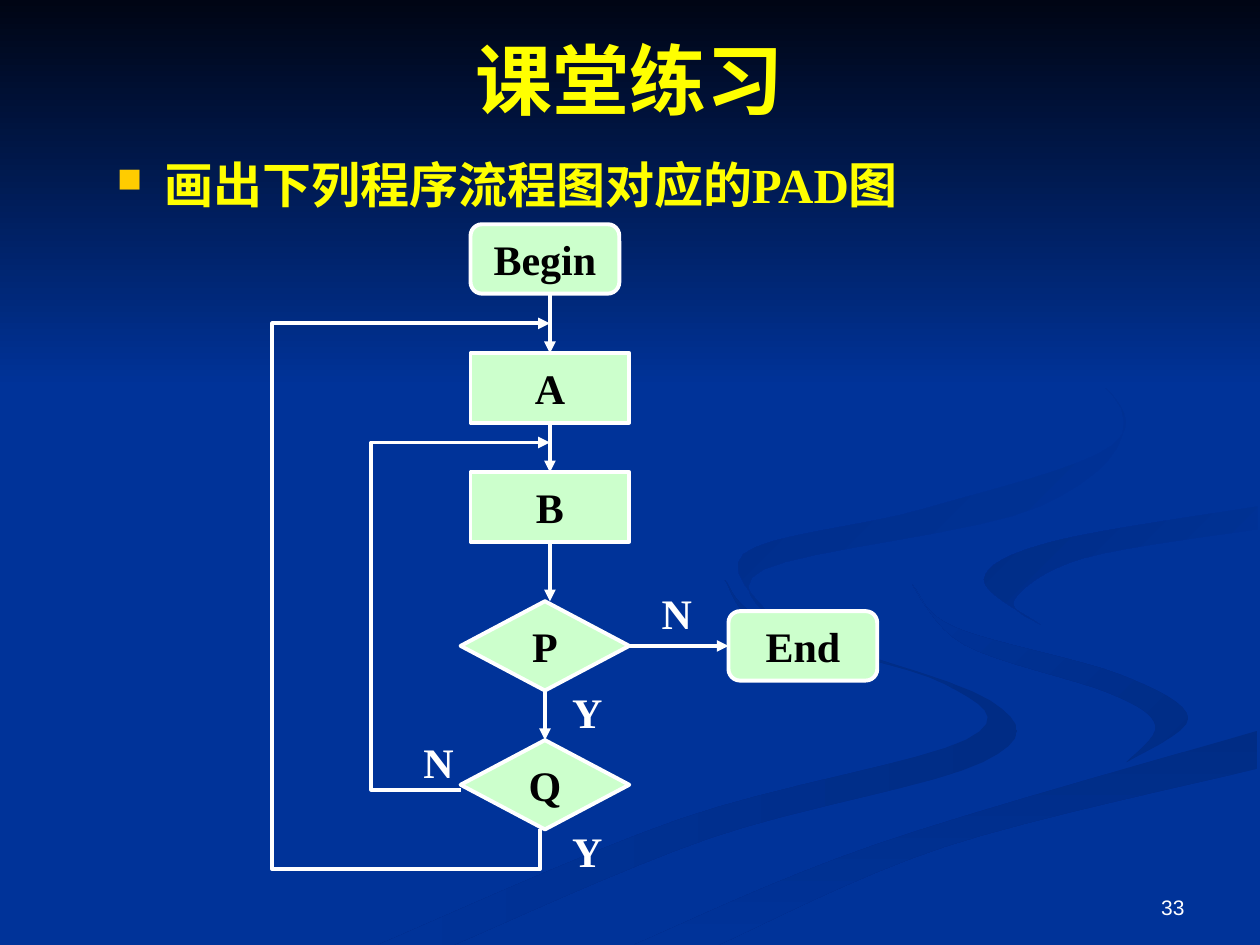
import dataclasses

import lxml.etree
import pptx
import pptx.dml.color
import pptx.enum.shapes
import pptx.enum.text
import pptx.oxml.ns
import pptx.util

SHAPE = pptx.enum.shapes.MSO_SHAPE
ALIGN = pptx.enum.text.PP_ALIGN
ANCHOR = pptx.enum.text.MSO_ANCHOR
TOP, LEFT, BOTTOM, RIGHT = range(4)


@dataclasses.dataclass(frozen=True)
class Theme:
    ground: str = "003399"
    shade: str = "002C85"
    night: str = "000514"
    accent: str = "FFFF00"
    bullet: str = "FFCC00"
    node: str = "CCFFCC"
    ink: str = "000000"
    light: str = "FFFFFF"
    serif: str = "Times New Roman"
    sans: str = "Arial"
    title: int = 44
    body: int = 28
    label: int = 24
    small: int = 12
    stroke: float = 2.25


@dataclasses.dataclass(frozen=True)
class Box:
    """A grid of square cells; left, top and cell are in inches."""
    left: float
    top: float
    cell: float

    def point(self, column, row):
        return (pptx.util.Inches(self.left + column * self.cell),
                pptx.util.Inches(self.top + row * self.cell))

    def place(self, column, row, columns, rows):
        return (*self.point(column, row), pptx.util.Inches(columns * self.cell),
                pptx.util.Inches(rows * self.cell))


THEME = Theme()

# The two edges of each ribbon, the colours of its gradient and its clockwise angle.
RIBBONS = [
    ([(5.75, 4.6), (6.1, 5), (7.5, 5.43), (7.67, 5.87), (5.4, 6.5), (3, 7.5)],
     [(3.6, 7.5), (5.64, 6.65), (7.8, 6.05), (7.86, 5.56), (6.14, 4.96), (5.75, 4.6)],
     THEME.shade, THEME.ground, 180),
    ([(7.24, 4.64), (7.66, 5.12), (8.8, 5.5), (9.17, 5.76), (8.94, 6.05)],
     [(8.94, 6.05), (9.43, 5.7), (8.88, 5.35), (7.58, 4.98), (7.24, 4.64)],
     THEME.shade, THEME.ground, 225),
    ([(5.03, 7.5), (6.96, 6.7), (9.98, 5.8)], [(9.98, 6.1), (7.5, 6.72), (5.7, 7.5)],
     THEME.shade, THEME.ground, 90),
    ([(8.26, 4.96), (7.81, 4.6), (8.35, 4.3), (9.98, 4.02)],
     [(9.98, 4.2), (8.6, 4.43), (8.05, 4.76), (8.26, 4.96)],
     THEME.ground, THEME.shade, 225),
    ([(7.62, 2.33), (8.7, 3), (8.82, 3.54), (7.33, 4.04), (5.9, 4.4), (6.22, 5)],
     [(6.22, 5), (6.06, 4.52), (8.25, 4.02), (8.9, 3.24), (7.62, 2.33)],
     THEME.ground, THEME.shade, 225),
]


def color(value):
    return pptx.dml.color.RGBColor.from_string(value)


def add_xml(parent, tag, **attributes):
    node = lxml.etree.SubElement(parent, pptx.oxml.ns.qn(tag))
    for name, value in attributes.items():
        node.set(name, value)
    return node


def set_all(target, values):
    for name, value in values.items():
        setattr(target, name, value)


def write(shape, text, size, ink, face=THEME.serif, bold=True, align=ALIGN.LEFT,
          anchor=ANCHOR.TOP, wrap=True):
    set_all(shape.text_frame, {"word_wrap": wrap, "vertical_anchor": anchor})
    para = shape.text_frame.paragraphs[0]
    para.alignment = align
    span = para.add_run()
    span.text = text
    set_all(span.font, {"name": face, "size": pptx.util.Pt(size), "bold": bold})
    span.font.color.rgb = color(ink)
    return para


def stroke(shape, arrow=False):
    shape.line.color.rgb = color(THEME.light)
    shape.line.width = pptx.util.Pt(THEME.stroke)
    if arrow:
        line = shape.element.spPr.find(pptx.oxml.ns.qn("a:ln"))
        add_xml(line, "a:tailEnd", type="triangle")


def outline(page, box, points, close):
    start, *rest = [box.point(*point) for point in points]
    builder = page.shapes.build_freeform(*start)
    builder.add_line_segments(rest, close=close)
    return builder.convert_to_shape()


def smooth(points, steps=8):
    """Catmull-Rom curve through the points."""
    padded = [points[0], *points, points[-1]]
    curve = []
    for knots in zip(padded, padded[1:], padded[2:], padded[3:]):
        for step in range(steps):
            t = step / steps
            curve.append(tuple(
                b + t * (c - a + t * (2 * a - 5 * b + 4 * c - d + t * (3 * (b - c) + d - a))) / 2
                for a, b, c, d in zip(*knots)))
    return [*curve, points[-1]]


def shade(shape, first, last, angle):
    shape.shadow.inherit = False
    shape.line.fill.background()
    shape.fill.gradient()
    shape.fill.gradient_angle = 360 - angle
    for position, (stop, value) in enumerate(zip(shape.fill.gradient_stops, (first, last))):
        stop.color.rgb = color(value)
        stop.position = position


def scenery(page, box):
    page.background.fill.solid()
    page.background.fill.fore_color.rgb = color(THEME.ground)
    for outer, inner, *gradient in RIBBONS:
        shade(outline(page, box, smooth(outer) + smooth(inner), close=True), *gradient)
    sky = page.shapes.add_shape(SHAPE.RECTANGLE, *box.place(0, 0, 10, 3.08))
    shade(sky, THEME.night, THEME.ground, 90)


def heading(page, box):
    title = page.shapes.title
    page.shapes.element.append(title.element)  # in front of the scenery
    set_all(title, dict(zip(("left", "top", "width", "height"), box.place(0.75, 0, 8.5, 1.25))))
    write(title, "课堂练习", THEME.title, THEME.accent, align=ALIGN.CENTER, anchor=ANCHOR.MIDDLE)


def task(page, box):
    shape = page.shapes.add_textbox(*box.place(0.83, 1.23, 8.5, 0.56))
    para = write(shape, "画出下列程序流程图对应的PAD图", THEME.body, THEME.accent)
    para.line_spacing = 0.9
    layout = para._p.get_or_add_pPr()
    indent = pptx.util.Inches(0.38)
    layout.set("marL", str(indent))
    layout.set("indent", str(-indent))
    add_xml(add_xml(layout, "a:buClr"), "a:srgbClr", val=THEME.bullet)
    add_xml(layout, "a:buSzPct", val="70000")
    add_xml(layout, "a:buChar", char="■")


def flowchart(page, box):
    sizes = {SHAPE.ROUNDED_RECTANGLE: (3, 1.4), SHAPE.RECTANGLE: (3.2, 1.4),
             SHAPE.DIAMOND: (3.4, 1.8)}
    nodes = {}
    for name, kind, column, row in [
            ("Begin", SHAPE.ROUNDED_RECTANGLE, 4, 0), ("A", SHAPE.RECTANGLE, 4, 2.6),
            ("B", SHAPE.RECTANGLE, 4, 5), ("Q", SHAPE.DIAMOND, 3.8, 10.4),
            ("P", SHAPE.DIAMOND, 3.8, 7.6), ("End", SHAPE.ROUNDED_RECTANGLE, 9.2, 7.8)]:
        node = page.shapes.add_shape(kind, *box.place(column, row, *sizes[kind]))
        node.shadow.inherit = False
        node.fill.solid()
        node.fill.fore_color.rgb = color(THEME.node)
        stroke(node)
        write(node, name, THEME.label, THEME.ink, align=ALIGN.CENTER, anchor=ANCHOR.MIDDLE,
              wrap=False)
        nodes[name] = node

    # A joint is (node, side); an end with no joint stays on its grid point.
    for start, end, tail, head in [
            ((5.6, 1.4), (5.6, 2.6), None, ("A", TOP)),
            ((5.6, 4), (5.6, 5), ("A", BOTTOM), ("B", TOP)),
            ((5.6, 6.4), (5.6, 7.6), ("B", BOTTOM), None),
            ((5.5, 9.4), (5.5, 10.4), ("P", BOTTOM), ("Q", TOP)),
            ((7.2, 8.5), (9.2, 8.5), ("P", RIGHT), ("End", LEFT))]:
        arrow = page.shapes.add_connector(pptx.enum.shapes.MSO_CONNECTOR.STRAIGHT,
                                          *box.point(*start), *box.point(*end))
        for joint, connect in ((tail, arrow.begin_connect), (head, arrow.end_connect)):
            if joint:
                connect(nodes[joint[0]], joint[1])
        stroke(arrow, arrow=True)
        add_xml(arrow.element.spPr, "a:effectLst")

    for loop in [[(5.4, 12.2), (5.4, 13), (0, 13), (0, 2), (5.6, 2)],
                 [(3.8, 11.4), (2, 11.4), (2, 4.4), (5.6, 4.4)]]:
        shape = outline(page, box, loop, close=False)
        shape.shadow.inherit = False
        shape.fill.background()
        stroke(shape, arrow=True)

    for answer, column, row in [("N", 2.8, 10.2), ("Y", 5.8, 12), ("N", 7.6, 7.2),
                                ("Y", 5.8, 9.2)]:
        label = page.shapes.add_textbox(*box.place(column, row, 1.2, 1.27))
        write(label, answer, THEME.label, THEME.light)


def page_number(page, box):
    shape = page.shapes.add_textbox(*box.place(7.17, 6.83, 2.33, 0.52))
    write(shape, "33", THEME.small, THEME.light, face=THEME.sans, bold=False,
          align=ALIGN.RIGHT, anchor=ANCHOR.BOTTOM)


def main():
    deck = pptx.Presentation()
    deck.slide_width, deck.slide_height = pptx.util.Inches(10), pptx.util.Inches(7.5)
    page = deck.slides.add_slide(deck.slide_layouts.get_by_name("Title Only"))
    whole = Box(0, 0, 1)
    for region in (scenery, heading, task):
        region(page, whole)
    flowchart(page, Box(2.16, 1.78, 1 / 2.54))
    page_number(page, whole)
    deck.save("out.pptx")


if __name__ == "__main__":
    main()
